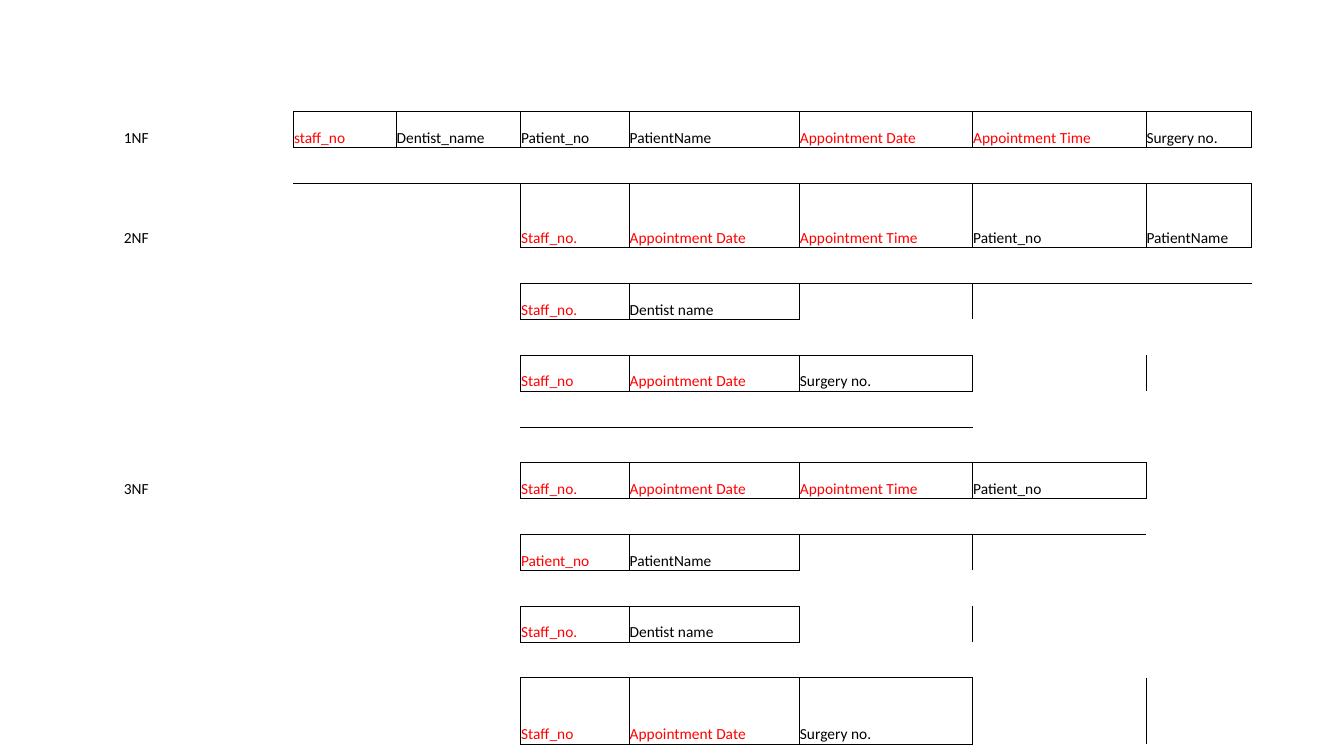
from pptx import Presentation
from pptx.dml.color import RGBColor
from pptx.enum import text
from pptx.oxml import parse_xml
from pptx.oxml.ns import nsdecls
from pptx.util import Pt

COLORS = {"key": "FF0000", "ink": "000000"}
FONT = "Calibri"
NO_STYLE = "{2D5ABB26-0587-4C30-8999-92F81FD0307C}"

COL_WIDTHS = [121.6, 73.3, 88.9, 77.6, 121.6, 123.8, 123.8, 75.6]
ROW_COUNT, ROW_HEIGHT = 16, 25.6
TALL_ROWS = {2: 46.2, 15: 47.2}

# Row: (first column, fields); a leading * marks a key field
RELATIONS = {
    0: (1, ["*staff_no", "Dentist_name", "Patient_no", "PatientName",
            "*Appointment Date", "*Appointment Time", "Surgery no."]),
    2: (3, ["*Staff_no.", "*Appointment Date", "*Appointment Time",
            "Patient_no", "PatientName"]),
    4: (3, ["*Staff_no.", "Dentist name"]),
    6: (3, ["*Staff_no", "*Appointment Date", "Surgery no."]),
    9: (3, ["*Staff_no.", "*Appointment Date", "*Appointment Time", "Patient_no"]),
    11: (3, ["*Patient_no", "PatientName"]),
    13: (3, ["*Staff_no.", "Dentist name"]),
    15: (3, ["*Staff_no", "*Appointment Date", "Surgery no."]),
}
STAGES = {0: "1NF", 2: "2NF", 9: "3NF"}
SIDES = {"L": (0, -1), "R": (0, 1), "T": (-1, 0), "B": (1, 0)}


def write(cell, content, size=11, color="ink"):
    r = cell.text_frame.paragraphs[0].add_run()
    r.text = content
    r.font.name, r.font.size = FONT, Pt(size)
    r.font.color.rgb = RGBColor.from_string(COLORS[color])


def add_border(cell, side, width=0.5):
    cell._tc.get_or_add_tcPr().append(parse_xml(
        f'<a:ln{side} {nsdecls("a")} w="{Pt(width)}"><a:solidFill>'
        f'<a:srgbClr val="{COLORS["ink"]}"/></a:solidFill></a:ln{side}>'))


def format_cell(cell, row, col, boxed):
    """Draw every side that this cell or its neighbour has boxed."""
    cell.margin_left = cell.margin_right = cell.margin_top = Pt(0.5)
    cell.margin_bottom = 0
    cell.vertical_anchor = text.MSO_ANCHOR.BOTTOM
    for side, (down, across) in SIDES.items():
        if (row, col) in boxed or (row + down, col + across) in boxed:
            add_border(cell, side)
    cell.fill.background()


def add_normal_forms(s, left, top):
    heights = [TALL_ROWS.get(i, ROW_HEIGHT) for i in range(ROW_COUNT)]
    table = s.shapes.add_table(ROW_COUNT, len(COL_WIDTHS), Pt(left), Pt(top),
                               Pt(sum(COL_WIDTHS)), Pt(sum(heights))).table
    table.first_row = table.horz_banding = False
    table._tbl.tblPr[0].text = NO_STYLE
    for column, width in zip(table.columns, COL_WIDTHS):
        column.width = Pt(width)
    for row, height in zip(table.rows, heights):
        row.height = Pt(height)

    fields = {(row, first + i): field
              for row, (first, names) in RELATIONS.items()
              for i, field in enumerate(names)}
    for row in range(ROW_COUNT):
        for col in range(len(COL_WIDTHS)):
            format_cell(table.cell(row, col), row, col, fields)
    for (row, col), field in fields.items():
        write(table.cell(row, col), field.lstrip("*"),
              color="key" if field.startswith("*") else "ink")
    for row, stage in STAGES.items():
        write(table.cell(row, 0), stage)


def main():
    prs = Presentation()
    prs.slide_width, prs.slide_height = Pt(960), Pt(540)
    s = prs.slides.add_slide(prs.slide_layouts[6])
    add_normal_forms(s, left=88, top=79.6)
    prs.save("out.pptx")


if __name__ == "__main__":
    main()
